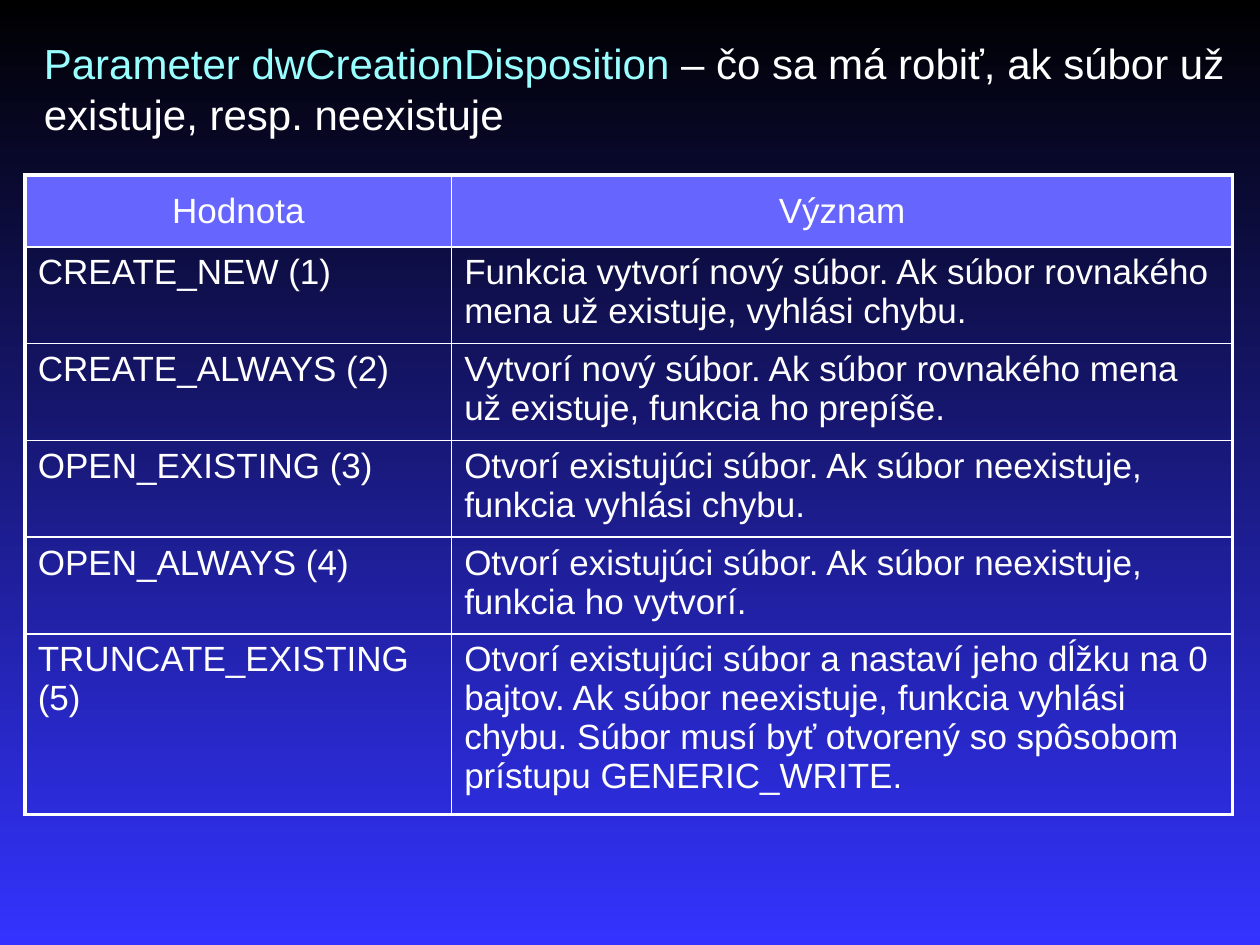
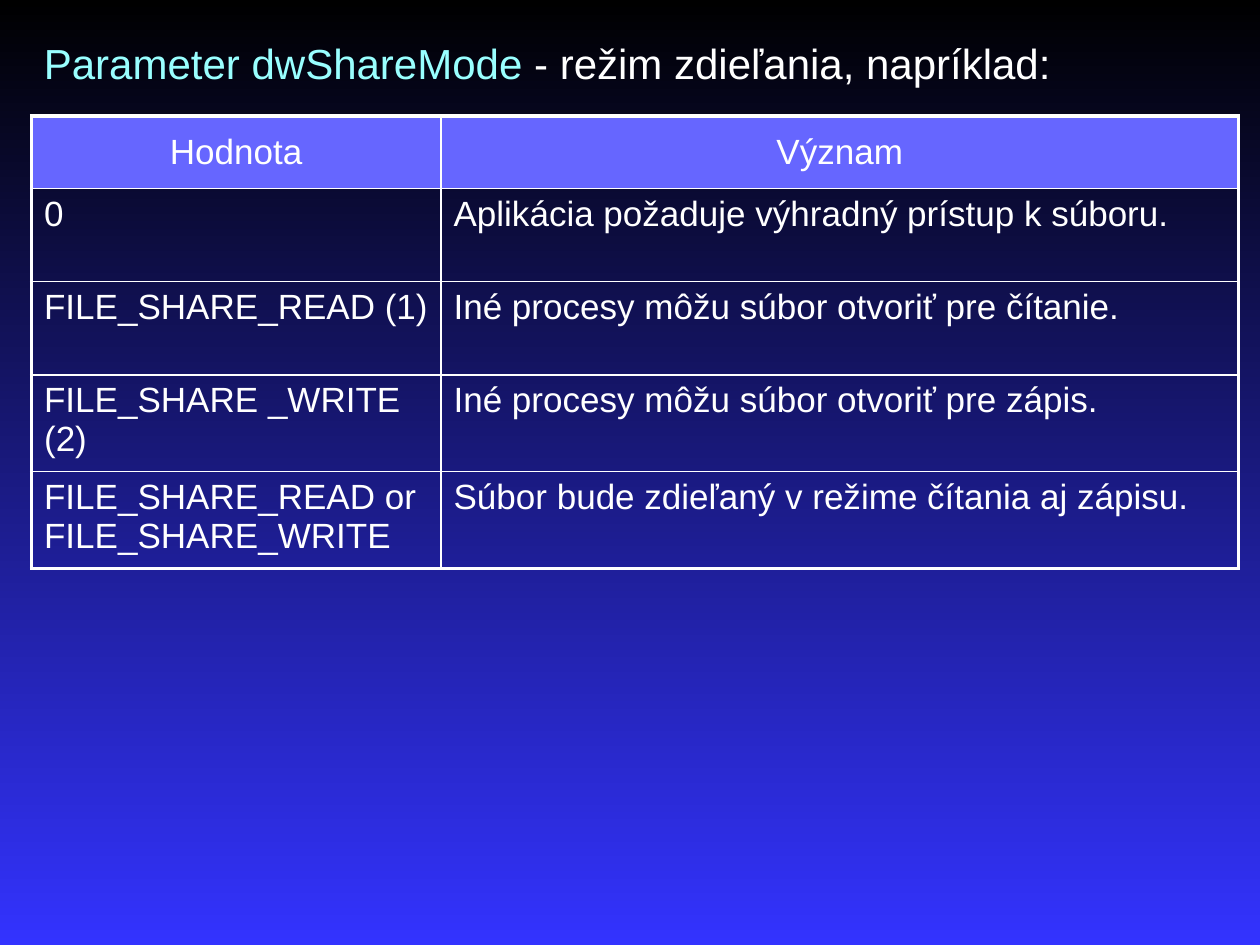
from dataclasses import dataclass

from lxml import etree
from pptx import Presentation
from pptx.dml.color import RGBColor
from pptx.enum.text import MSO_ANCHOR, PP_ALIGN
from pptx.oxml.ns import qn
from pptx.util import Pt

CENTER, LEFT = PP_ALIGN.CENTER, PP_ALIGN.LEFT
MIDDLE, TOP = MSO_ANCHOR.MIDDLE, MSO_ANCHOR.TOP

# Content: lengths in points
HEADER = ("Hodnota", "Význam")
SLIDES = [
    {
        "title": ("Parameter dwCreationDisposition",
                  " – čo sa má robiť, ak súbor už existuje, resp. neexistuje"),
        "title_size": (702, 65.5),
        "table_at": (14.4, 100.1),
        "columns": (243.7, 446.3),
        "row_heights": (41, 55.3, 55.3, 55.3, 55.3, 103.2),
        "rows": [
            ("CREATE_NEW (1)",
             "Funkcia vytvorí nový súbor. Ak súbor rovnakého mena už existuje, vyhlási chybu."),
            ("CREATE_ALWAYS (2)",
             "Vytvorí nový súbor. Ak súbor rovnakého mena už existuje, funkcia ho prepíše."),
            ("OPEN_EXISTING (3)",
             "Otvorí existujúci súbor. Ak súbor neexistuje, funkcia vyhlási chybu."),
            ("OPEN_ALWAYS (4)",
             "Otvorí existujúci súbor. Ak súbor neexistuje, funkcia ho vytvorí."),
            ("TRUNCATE_EXISTING (5)",
             "Otvorí existujúci súbor a nastaví jeho dĺžku na 0 bajtov. Ak súbor neexistuje, "
             "funkcia vyhlási chybu. Súbor musí byť otvorený so spôsobom prístupu GENERIC_WRITE."),
        ],
    },
    {
        "title": ("Parameter dwShareMode ", "- režim zdieľania, napríklad:"),
        "title_size": (687.6, 36),
        "table_at": (18, 66.2),
        "columns": (234, 455.8),
        "row_heights": (41.4, 53.3, 53.3, 55.3, 55.3),
        "rows": [
            ("0", "Aplikácia požaduje výhradný prístup k súboru."),
            ("FILE_SHARE_READ (1)", "Iné procesy môžu súbor otvoriť pre čítanie."),
            ("FILE_SHARE _WRITE (2)", "Iné procesy môžu súbor otvoriť pre zápis."),
            ("FILE_SHARE_READ or FILE_SHARE_WRITE",
             "Súbor bude zdieľaný v režime čítania aj zápisu."),
        ],
    },
]


@dataclass(frozen=True)
class Theme:
    font: str = "Arial"
    title_size: float = 24
    cell_size: float = 20
    text: str = "FFFFFF"
    accent: str = "99FFFF"
    header_fill: str = "6666FF"
    gradient: tuple = ("000000", "3333FF")
    outer_line: float = 2.25
    inner_line: float = 1


THEME = Theme()
TITLE_AT = (18, 18)


def rgb(value):
    return RGBColor.from_string(value)


def style_font(font, size, color=None):
    font.name = THEME.font
    font.size = Pt(size)
    if color:
        font.color.rgb = rgb(color)


def paint_background(slide):
    fill = slide.background.fill
    fill.gradient()
    fill.gradient_angle = 270
    for stop, color in zip(fill.gradient_stops, THEME.gradient):
        stop.color.rgb = rgb(color)


def add_title(slide, parts, size):
    box = slide.shapes.add_textbox(*map(Pt, TITLE_AT + size))
    box.text_frame.word_wrap = True
    paragraph = box.text_frame.paragraphs[0]
    style_font(paragraph.font, THEME.title_size)
    for text, color in zip(parts, (THEME.accent, THEME.text)):
        run = paragraph.add_run()
        run.text = text
        run.font.color.rgb = rgb(color)


def set_borders(cell, outer_sides):
    """Draw the four sides; those on the table's rim are heavier."""
    properties = cell._tc.get_or_add_tcPr()
    for side, outer in outer_sides.items():
        width = THEME.outer_line if outer else THEME.inner_line
        line = etree.SubElement(properties, qn(f"a:ln{side}"), w=str(Pt(width)))
        fill = etree.SubElement(line, qn("a:solidFill"))
        etree.SubElement(fill, qn("a:srgbClr"), val=THEME.text)


def fill_cell(cell, text, is_header):
    if is_header:
        cell.fill.solid()
        cell.fill.fore_color.rgb = rgb(THEME.header_fill)
    else:
        cell.fill.background()
    cell.vertical_anchor = MIDDLE if is_header else TOP
    cell.text = text
    paragraph = cell.text_frame.paragraphs[0]
    paragraph.alignment = CENTER if is_header else LEFT
    style_font(paragraph.font, THEME.cell_size, THEME.text)


def add_value_table(slide, content):
    rows = [HEADER] + content["rows"]
    columns, heights = content["columns"], content["row_heights"]
    last_row, last_column = len(rows) - 1, len(columns) - 1
    size = (sum(columns), sum(heights))
    table = slide.shapes.add_table(
        len(rows), len(columns), *map(Pt, content["table_at"] + size)).table
    table.horz_banding = False
    table.first_row = False
    for column, width in zip(table.columns, columns):
        column.width = Pt(width)
    for row, height in zip(table.rows, heights):
        row.height = Pt(height)
    for i, texts in enumerate(rows):
        for j, text in enumerate(texts):
            cell = table.cell(i, j)
            set_borders(cell, {"L": j == 0, "R": j == last_column,
                               "T": i == 0, "B": i == last_row})
            fill_cell(cell, text, is_header=i == 0)


def main():
    presentation = Presentation()
    presentation.slide_width, presentation.slide_height = Pt(720), Pt(540)
    blank = presentation.slide_layouts[6]
    for content in SLIDES:
        slide = presentation.slides.add_slide(blank)
        paint_background(slide)
        add_value_table(slide, content)
        add_title(slide, content["title"], content["title_size"])
    presentation.save("out.pptx")


if __name__ == "__main__":
    main()
